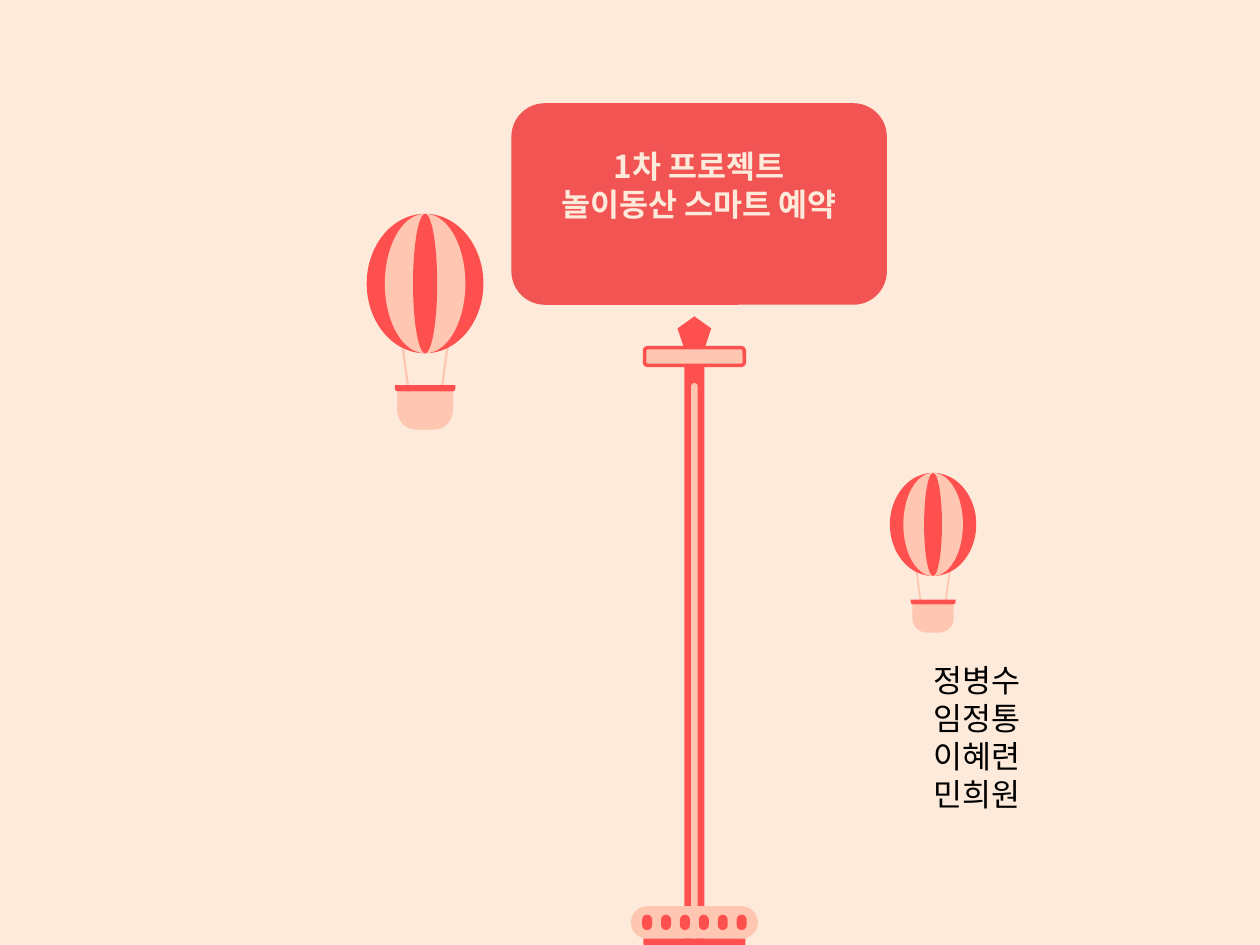
from dataclasses import dataclass
from typing import Optional

from lxml.etree import SubElement
from pptx import Presentation
from pptx.dml.color import RGBColor
from pptx.enum.shapes import MSO_SHAPE
from pptx.enum.text import MSO_ANCHOR, MSO_AUTO_SIZE, PP_ALIGN
from pptx.oxml.ns import qn
from pptx.util import Pt

COLORS = {
    "cream": "FDEADA",
    "coral": "FF5050",
    "peach": "FFC6B1",
    "board": "F25353",
    "black": "000000",
}
FONT = "Noto Sans CJK KR"
TEXT_SIZE = 18
TITLE_LINES = ["1차 프로젝트", "놀이동산 스마트 예약"]
MEMBERS = ["정병수", "임정통", "이혜련", "민희원"]


@dataclass(frozen=True)
class Part:
    preset: MSO_SHAPE
    offset: float
    top: float
    width: float
    height: float
    color: str
    corners: tuple[float, ...] = ()
    rotation: float = 0
    outline: Optional[str] = None


@dataclass(frozen=True)
class Placement:
    center: float
    top: float
    scale: float = 1


ROUND = MSO_SHAPE.ROUNDED_RECTANGLE
ROUND_TOP = MSO_SHAPE.ROUND_2_SAME_RECTANGLE
OVAL = MSO_SHAPE.OVAL
TOP_CORNERS = (0.5, 0)

TOWER = [
    Part(ROUND_TOP, 0, 191.5, 11.5, 357, "coral", TOP_CORNERS),
    Part(ROUND, 0, 198.7, 57, 10.1, "peach", outline="coral"),
    Part(ROUND_TOP, 0, 218.9, 3.7, 323.3, "peach", TOP_CORNERS),
    Part(MSO_SHAPE.REGULAR_PENTAGON, 0, 180.8, 19.3, 18, "coral"),
    Part(ROUND, 0, 517.8, 72.6, 18.6, "peach", (0.5,)),
    Part(ROUND_TOP, 0, 536.4, 58.3, 5.8, "coral", TOP_CORNERS, 180),
] + [
    Part(ROUND, (index - 2.5) * 10.8, 522.7, 5.7, 8.8, "coral", (0.5,))
    for index in range(6)
]

BALLOON = [
    Part(ROUND, side * 11.9, 82.2, 41, 1.3, "peach", rotation=-side * 82.3)
    for side in (-1, 1)
] + [
    Part(ROUND_TOP, 0, 101.5, 31.9, 21.8, "peach", TOP_CORNERS, 180),
    Part(ROUND_TOP, 0, 97.9, 34.6, 3.6, "coral", TOP_CORNERS, 180),
    Part(OVAL, 0, 0, 66.7, 79.7, "coral"),
    Part(OVAL, 0, 0, 46, 79.7, "peach"),
    Part(OVAL, 0, 0, 13.8, 79.7, "coral"),
]


def rgb(name: str) -> RGBColor:
    return RGBColor.from_string(COLORS[name])


def draw_part(shapes, part: Part, place: Placement):
    width = part.width * place.scale
    shape = shapes.add_shape(
        part.preset,
        Pt(place.center + part.offset * place.scale - width / 2),
        Pt(place.top + part.top * place.scale),
        Pt(width),
        Pt(part.height * place.scale),
    )
    shape.shadow.inherit = False
    shape.rotation = part.rotation
    shape.fill.solid()
    shape.fill.fore_color.rgb = rgb(part.color)
    for index, corner in enumerate(part.corners):
        shape.adjustments[index] = corner
    if part.outline:
        shape.line.color.rgb = rgb(part.outline)
        shape.line.width = Pt(2)
    else:
        shape.line.fill.background()
    return shape


def draw_group(page, parts: list[Part], place: Placement) -> None:
    group = page.shapes.add_group_shape()
    for part in parts:
        draw_part(group.shapes, part, place)


def write_lines(box, lines: list[str], color: str, align: PP_ALIGN, bold: bool) -> None:
    frame = box.text_frame
    for index, line in enumerate(lines):
        para = frame.add_paragraph() if index else frame.paragraphs[0]
        para.alignment = align
        span = para.add_run()
        span.text = line
        span.font.name = FONT
        span.font.size = Pt(TEXT_SIZE)
        span.font.bold = bold
        span.font.color.rgb = rgb(color)
        SubElement(span.font._element, qn("a:ea"), typeface=FONT)


def main() -> None:
    deck = Presentation()
    deck.slide_width, deck.slide_height = Pt(720), Pt(540)
    page = deck.slides.add_slide(deck.slide_layouts[6])
    page.background.fill.solid()
    page.background.fill.fore_color.rgb = rgb("cream")

    draw_group(page, TOWER, Placement(396.8, 0))
    draw_group(page, BALLOON, Placement(242.9, 122.2))
    draw_group(page, BALLOON, Placement(533.2, 270.2, 0.74))

    board = draw_part(
        page.shapes, Part(ROUND, 0, 0, 214.6, 115.2, "board"), Placement(399.5, 59)
    )
    board.text_frame.word_wrap = True
    board.text_frame.vertical_anchor = MSO_ANCHOR.MIDDLE
    board.text_frame.margin_bottom = Pt(25.2)
    write_lines(board, TITLE_LINES, "cream", PP_ALIGN.CENTER, True)

    members = page.shapes.add_textbox(Pt(526.3), Pt(374.4), Pt(69.1), Pt(94.3))
    members.text_frame.word_wrap = False
    members.text_frame.auto_size = MSO_AUTO_SIZE.SHAPE_TO_FIT_TEXT
    write_lines(members, MEMBERS, "black", PP_ALIGN.LEFT, False)

    deck.save("out.pptx")


if __name__ == "__main__":
    main()
